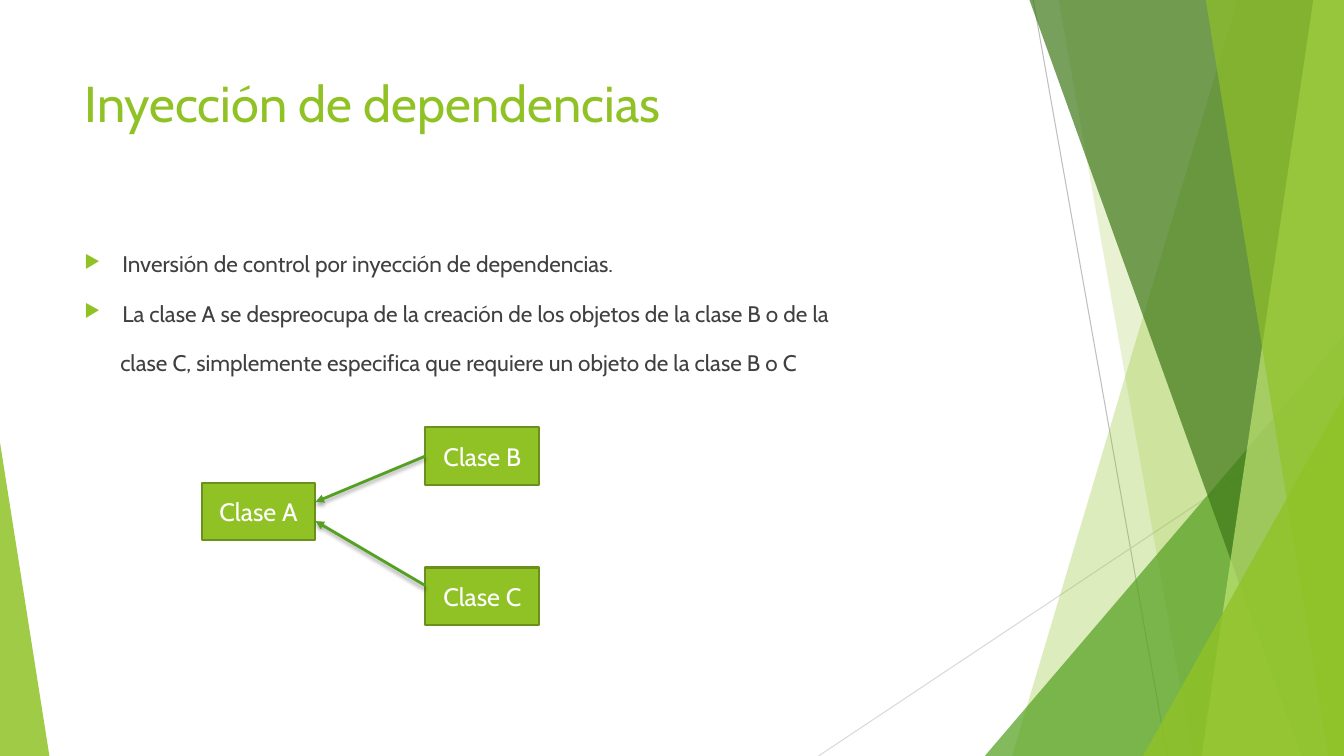
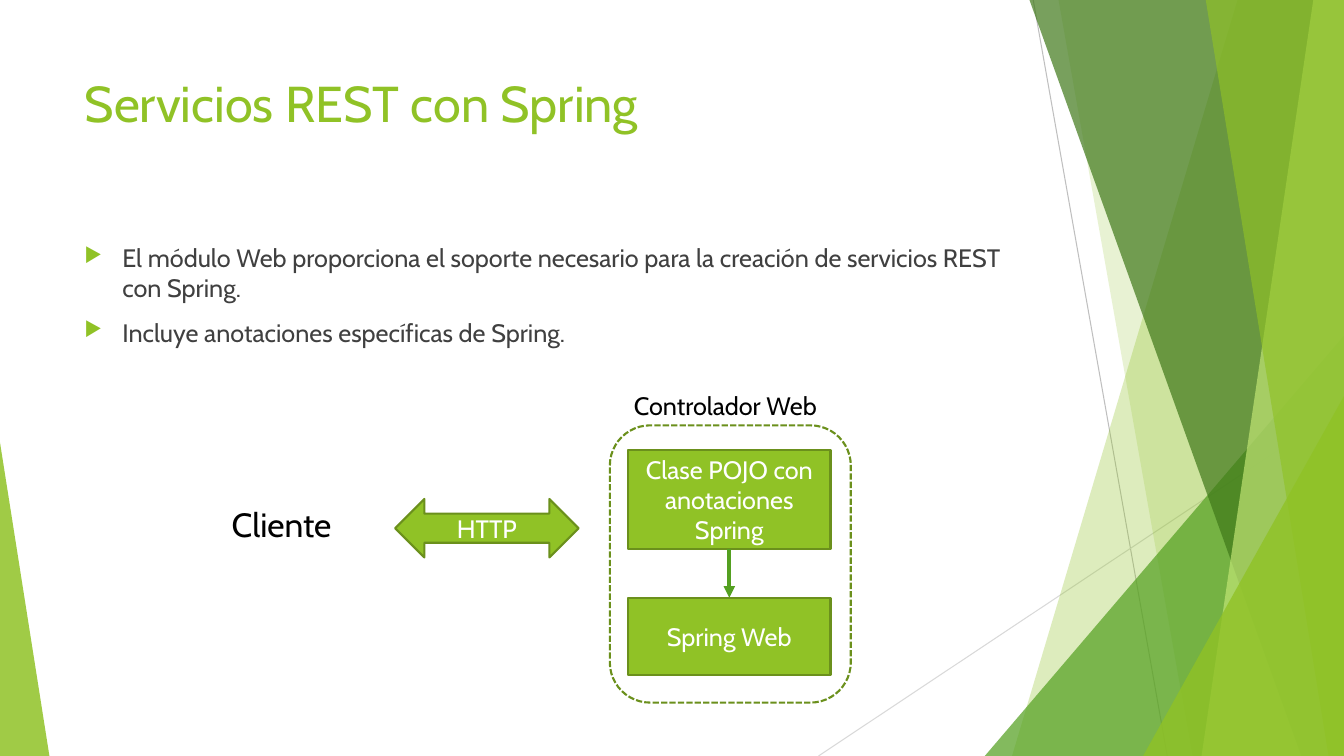
from dataclasses import dataclass
from typing import Optional

import pptx
import pptx.dml.color
import pptx.enum.dml
import pptx.enum.shapes
import pptx.enum.text
import pptx.oxml
import pptx.oxml.ns
import pptx.util
from lxml import etree

# Grid: ten cells to the inch
CELL = 0.1
COLS, ROWS = 133.33, 75
LIME, LEAF, MOSS, PALE = "90C226", "54A021", "3F7819", "C0E474"
EDGE, INK, BLACK, WHITE = "6B901C", "404040", "000000", "FFFFFF"
FONT = "Cabin"
KIND = pptx.enum.shapes.MSO_SHAPE
ALIGN = pptx.enum.text.PP_ALIGN
ANCHOR = pptx.enum.text.MSO_ANCHOR
qn = pptx.oxml.ns.qn


@dataclass
class Area:
    col: float
    row: float
    wide: float
    high: float


@dataclass
class Band:
    """Strip that runs from its top and foot columns to the right edge."""
    top: float
    foot: float
    fill: str
    alpha: int


@dataclass
class Wedge:
    area: Area
    lean: float
    fill: str
    alpha: int


@dataclass
class Node:
    area: Area
    lines: tuple = ()
    kind: object = KIND.RECTANGLE
    fill: str = LIME
    dash: bool = False


@dataclass
class Item:
    text: str
    mark: bool = True


@dataclass
class Label:
    area: Area
    text: str
    size: float


# Shared decoration, from back to front
RAYS = (((102.5, 0), (115.8, 75), "BFBFBF"),
        ((COLS, 40.3), (81.2, 75), "D9D9D9"))
DECOR = (
    Band(122.8, 100.4, LIME, 30),
    Band(105, 118.3, LIME, 20),
    Wedge(Area(97.7, 33.3, 35.63, 41.7), 1, LEAF, 72),
    Band(102.1, 129.1, MOSS, 70),
    Band(130.3, 119.2, PALE, 70),
    Band(119.6, 131.8, LIME, 65),
    Wedge(Area(113.4, 39.3, 19.93, 35.7), 1, LIME, 80),
    Wedge(Area(0, 43.9, 4.9, 31.1), 0, LIME, 85),
)
HEAD = Area(7.4, 6.7, 94, 14.4)
BODY = Area(7.4, 23.55, 94, 42.4)


def span(cells: float) -> int:
    return pptx.util.Inches(cells * CELL)


def box(area: Area) -> tuple:
    return tuple(span(v) for v in (area.col, area.row, area.wide, area.high))


def tint(code: str):
    return pptx.dml.color.RGBColor.from_string(code)


def sub(base, tag: str, **attrs: str):
    return etree.SubElement(base, qn(tag), attrs)


def write(para, text: str, size: float, hue: str) -> None:
    run = para.add_run()
    run.text = text
    run.font.name = FONT
    run.font.size = pptx.util.Pt(size)
    run.font.color.rgb = tint(hue)


def paint(shape, hue: str, alpha: int = 100) -> None:
    shape.shadow.inherit = False
    shape.fill.solid()
    shape.fill.fore_color.rgb = tint(hue)
    if alpha < 100:
        solid = shape.element.spPr.find(qn("a:solidFill"))
        sub(solid[0], "a:alpha", val=str(alpha * 1000))


def link(slide, start: tuple, stop: tuple, hue: str, wide: float,
         tip: Optional[str] = None, shade: bool = False):
    line = slide.shapes.add_connector(
        pptx.enum.shapes.MSO_CONNECTOR.STRAIGHT,
        *(span(v) for v in (*start, *stop)))
    line.line.color.rgb = tint(hue)
    line.line.width = pptx.util.Pt(wide)
    spot = line.element.spPr
    if tip:
        sub(spot.find(qn("a:ln")), tip, type="triangle")
    glow = sub(spot, "a:effectLst")
    if shade:
        cast = sub(glow, "a:outerShdw", blurRad="38100", dist="25400",
                   dir="5400000", rotWithShape="0")
        ink = sub(cast, "a:srgbClr", val=BLACK)
        sub(ink, "a:alpha", val="35000")
    return line


def draw_band(slide, band: Band) -> None:
    pen = slide.shapes.build_freeform(span(band.top), span(-0.1))
    pen.add_line_segments([(span(COLS), span(-0.1)), (span(COLS), span(ROWS)),
                           (span(band.foot), span(ROWS))], close=True)
    shape = pen.convert_to_shape()
    paint(shape, band.fill, band.alpha)
    shape.line.fill.background()


def draw_wedge(slide, wedge: Wedge) -> None:
    shape = slide.shapes.add_shape(KIND.ISOSCELES_TRIANGLE, *box(wedge.area))
    shape.adjustments[0] = wedge.lean
    paint(shape, wedge.fill, wedge.alpha)
    shape.line.fill.background()


def dress(layout, slide) -> None:
    """Draw the decoration and hand it to the layout, behind its title."""
    old = set(slide.shapes.element)
    for start, stop, hue in RAYS:
        link(slide, start, stop, hue, 0.75)
    for part in DECOR:
        if isinstance(part, Band):
            draw_band(slide, part)
        else:
            draw_wedge(slide, part)
    fresh = [e for e in slide.shapes.element if e not in old]
    for spot, item in enumerate(fresh, 2):
        layout.shapes.element.insert(spot, item)


def draw_title(slide, text: str) -> None:
    title = slide.shapes.title
    title.left, title.top, title.width, title.height = box(HEAD)
    frame = title.text_frame
    frame.auto_size = pptx.enum.text.MSO_AUTO_SIZE.NONE
    frame.vertical_anchor = ANCHOR.TOP
    para = frame.paragraphs[0]
    para.alignment = ALIGN.LEFT
    write(para, text, 36, LIME)


def draw_list(slide, items: tuple, size: float, pitch: float) -> None:
    frame = slide.shapes.add_textbox(*box(BODY)).text_frame
    frame.word_wrap = True
    for rank, item in enumerate(items):
        para = frame.add_paragraph() if rank else frame.paragraphs[0]
        para.line_spacing = pitch
        para.space_before = pptx.util.Pt(10 if rank else 0)
        props = para._p.get_or_add_pPr()
        if item.mark:
            props.set("marL", str(span(3.75)))
            props.set("indent", str(span(-3.75)))
            sub(sub(props, "a:buClr"), "a:srgbClr", val=LIME)
            sub(props, "a:buSzPct", val="80000")
            sub(props, "a:buChar", char="▶")
        else:
            props.set("marL", str(span(3.55)))
        write(para, item.text, size, INK)


def draw_node(slide, node: Node):
    shape = slide.shapes.add_shape(node.kind, *box(node.area))
    paint(shape, node.fill)
    shape.line.color.rgb = tint(EDGE)
    shape.line.width = pptx.util.Pt(1.5)
    if node.dash:
        shape.line.dash_style = pptx.enum.dml.MSO_LINE.SQUARE_DOT
    frame = shape.text_frame
    frame.word_wrap = True
    frame.vertical_anchor = ANCHOR.MIDDLE
    for rank, text in enumerate(node.lines):
        para = frame.add_paragraph() if rank else frame.paragraphs[0]
        para.alignment = ALIGN.CENTER
        write(para, text, 18, WHITE)
    return shape


def draw_label(slide, label: Label) -> None:
    frame = slide.shapes.add_textbox(*box(label.area)).text_frame
    frame.word_wrap = True
    write(frame.paragraphs[0], label.text, label.size, BLACK)


def inject(slide) -> None:
    draw_title(slide, "Inyección de dependencias")
    draw_list(slide, (
        Item("Inversión de control por inyección de dependencias."),
        Item("La clase A se despreocupa de la creación de los objetos "
             "de la clase B o de la"),
        Item("clase C, simplemente especifica que requiere un objeto "
             "de la clase B o C", mark=False)), 16.1, 1.3)
    # Class diagram
    spots = {"A": (20, 47.9), "B": (42.2, 42.4), "C": (42.2, 56.3)}
    nodes = {name: draw_node(slide, Node(Area(*spot, 11.3, 5.7),
                                         (f"Clase {name}",)))
             for name, spot in spots.items()}
    upper = link(slide, (31.3, 49.8), (42.2, 45.1), LEAF, 2,
                 "a:headEnd", True)
    upper.end_connect(nodes["B"], 1)
    link(slide, (31.3, 51.7), (42.2, 58.1), LEAF, 2, "a:headEnd", True)


def serve(slide) -> None:
    draw_title(slide, "Servicios REST con Spring")
    draw_list(slide, (
        Item("El módulo Web proporciona el soporte necesario para la "
             "creación de servicios REST con Spring."),
        Item("Incluye anotaciones específicas de Spring.")), 18, 1.0)
    # Web controller
    draw_node(slide, Node(Area(60.5, 42.2, 23.9, 27.5), (),
                          KIND.ROUNDED_RECTANGLE, WHITE, True))
    pojo = draw_node(slide, Node(Area(62.3, 44.6, 20.1, 9.9),
                                 ("Clase POJO con anotaciones", "Spring")))
    web = draw_node(slide, Node(Area(62.3, 59.3, 20.1, 7.7), ("Spring Web",)))
    draw_label(slide, Label(Area(61.9, 38.2, 21, 4), "Controlador Web", 18))
    down = link(slide, (72, 54.6), (72, 59.3), LEAF, 2.75, "a:tailEnd")
    down.begin_connect(pojo, 2)
    down.end_connect(web, 0)
    # Client side
    draw_node(slide, Node(Area(39.2, 49.5, 18.2, 5.8), ("HTTP",),
                          KIND.LEFT_RIGHT_ARROW))
    draw_label(slide, Label(Area(22, 49.5, 13.6, 5), "Cliente", 24))


def main() -> None:
    deck = pptx.Presentation()
    deck.slide_width, deck.slide_height = span(COLS), span(ROWS)
    layout = deck.slide_layouts[5]
    for rank, build in enumerate((inject, serve)):
        slide = deck.slides.add_slide(layout)
        if not rank:
            dress(layout, slide)
        build(slide)
    deck.save("out.pptx")


if __name__ == "__main__":
    main()
